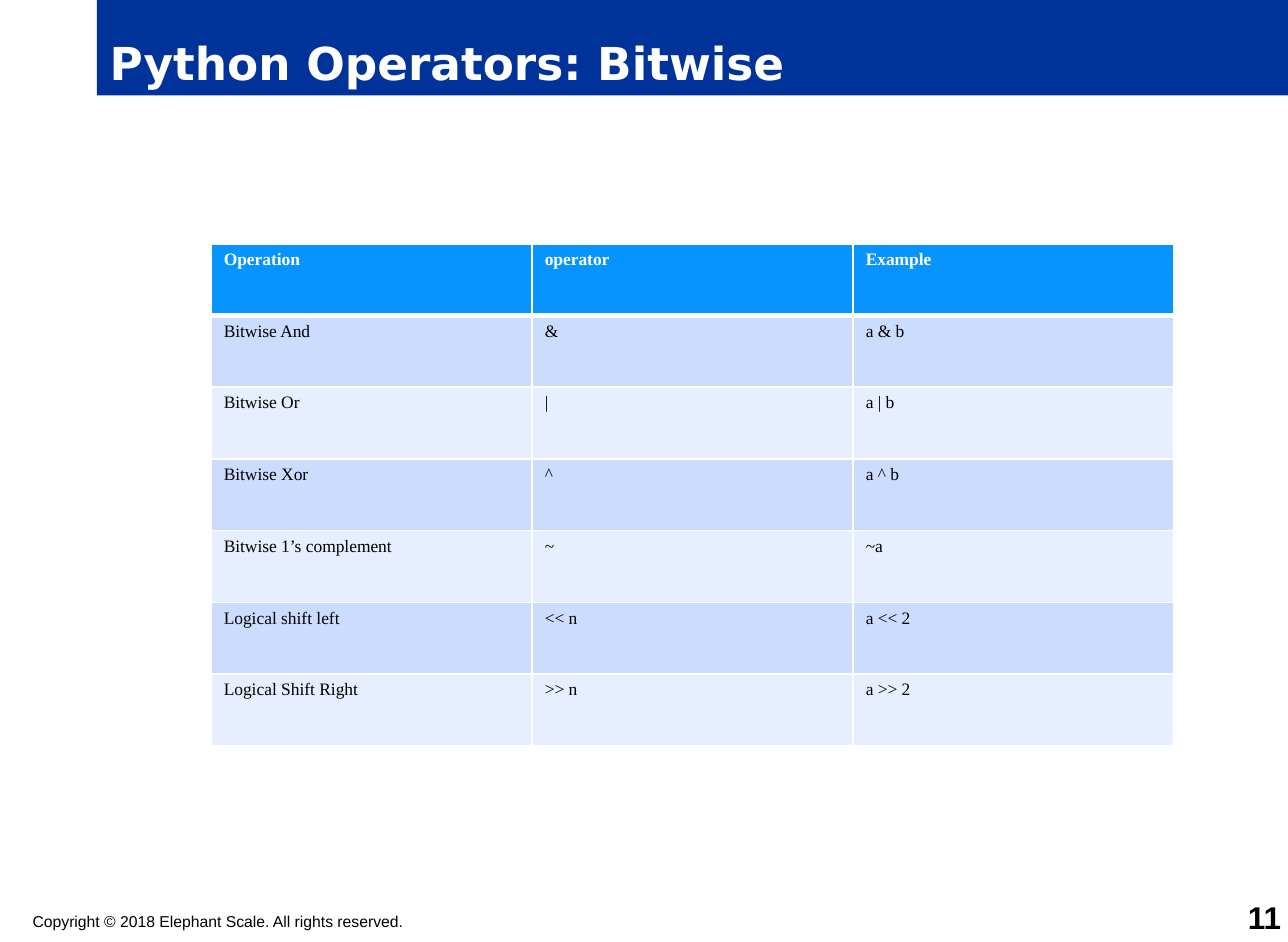
from pptx import Presentation
from pptx.dml.color import RGBColor
from pptx.enum.text import MSO_ANCHOR as Anchor, MSO_AUTO_SIZE as AutoSize, PP_ALIGN as Align
from pptx.oxml import parse_xml
from pptx.oxml.ns import nsdecls
from pptx.util import Cm, Pt

ROWS = [
    ("Operation", "operator", "Example"),
    ("Bitwise And", "&", "a & b"),
    ("Bitwise Or", "|", "a | b"),
    ("Bitwise Xor", "^", "a ^ b"),
    ("Bitwise 1’s complement", "~", "~a"),
    ("Logical shift left", "<< n", "a << 2"),
    ("Logical Shift Right", ">> n", "a >> 2"),
]
HEADER_FILL, BANDS = "0794FF", ("E7EEFF", "CCDCFF")
COL_WIDTH, ROW_HEIGHT = Cm(6.49), Cm(1.45)


def rgb(value):
    """Turn a hex string into a colour."""
    return RGBColor.from_string(value)


def set_fill(target, color):
    """Fill a shape or a cell with one solid colour."""
    target.fill.solid()
    target.fill.fore_color.rgb = rgb(color)


def write(tf, text, size, font, color, bold=False, align=Align.LEFT):
    """Put one formatted line of text in a text frame."""
    tf.text = text
    p = tf.paragraphs[0]
    p.alignment = align
    f = p.runs[0].font
    f.size, f.name, f.bold = Pt(size), font, bold
    f.color.rgb = rgb(color)


def add_title(s, text):
    """Place the title placeholder as a blue banner."""
    sp = s.shapes.title
    sp.left, sp.top, sp.width, sp.height = Cm(1.96), Cm(0), Cm(24.08), Cm(1.93)
    set_fill(sp, "003399")
    tf = sp.text_frame
    tf.auto_size, tf.vertical_anchor = AutoSize.NONE, Anchor.BOTTOM
    write(tf, text, 26, "DejaVu Sans", "FFFFFF", bold=True)


def add_label(s, box, text, size, anchor=Anchor.TOP, **style):
    """Add a text box without margins."""
    tf = s.shapes.add_textbox(*map(Cm, box)).text_frame
    tf.word_wrap, tf.vertical_anchor = True, anchor
    tf.margin_left = tf.margin_top = tf.margin_right = tf.margin_bottom = 0
    write(tf, text, size, "Arial", "000000", **style)


def set_borders(cell, **widths):
    """Draw white cell borders with widths in points, keyed by side."""
    for side, width in widths.items():
        cell._tc.get_or_add_tcPr().append(parse_xml(
            f'<a:ln{side} {nsdecls("a")} w="{Pt(width)}"><a:solidFill>'
            f'<a:srgbClr val="FFFFFF"/></a:solidFill></a:ln{side}>'))


def add_operator_table(s, left, top):
    """Add the banded table of operators."""
    n_rows, n_cols = len(ROWS), len(ROWS[0])
    table = s.shapes.add_table(n_rows, n_cols, left, top,
                               COL_WIDTH * n_cols, ROW_HEIGHT * n_rows).table
    for col in table.columns:
        col.width = COL_WIDTH
    for i, texts in enumerate(ROWS):
        table.rows[i].height = ROW_HEIGHT
        header = i == 0
        for j, text in enumerate(texts):
            cell = table.cell(i, j)
            set_borders(cell, L=1, R=1, T=3 if i == 1 else 1, B=3 if header else 1)
            set_fill(cell, HEADER_FILL if header else BANDS[i % 2])
            write(cell.text_frame, text, 10, "Times New Roman",
                  "FFFFFF" if header else "000000", bold=header)


def main():
    """Build the slide and save it."""
    prs = Presentation()
    prs.slide_width, prs.slide_height = Cm(26.04), Cm(19.05)
    s = prs.slides.add_slide(prs.slide_layouts[5])
    add_title(s, "Python Operators: Bitwise")
    add_label(s, (0.66, 18.44, 15.11, 0.38),
              "Copyright © 2018 Elephant Scale. All rights reserved.", 9)
    add_label(s, (24.38, 18.29, 1.52, 0.64), "11", 18,
              anchor=Anchor.BOTTOM, bold=True, align=Align.RIGHT)
    add_operator_table(s, Cm(4.27), Cm(4.93))
    prs.save("out.pptx")


if __name__ == "__main__":
    main()
